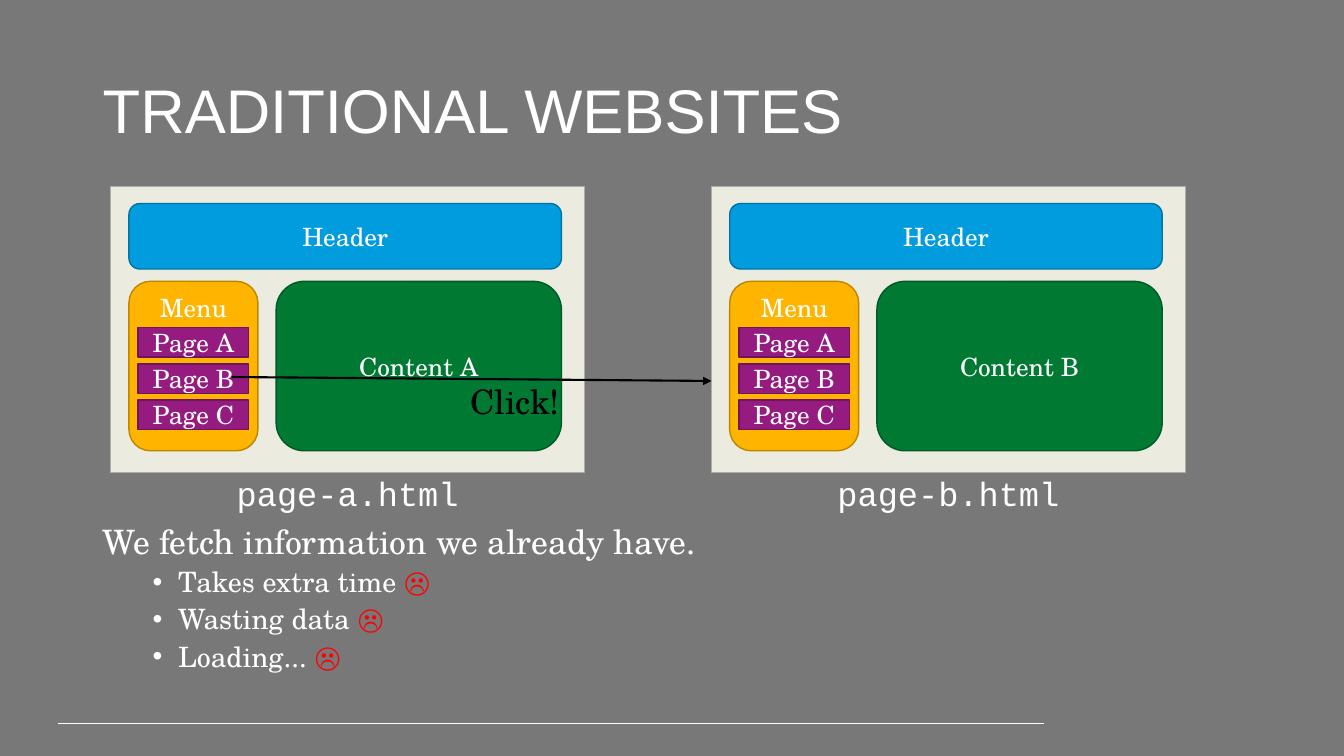
from lxml import etree
from pptx import Presentation
from pptx import util as u
from pptx.dml.color import RGBColor
from pptx.enum import shapes, text
from pptx.oxml import ns

TITLE = "TRADITIONAL WEBSITES"
PAGES = [("page-a.html", "Content A"), ("page-b.html", "Content B")]
LINKS = ["Page A", "Page B", "Page C"]
CLICK = "Click!"
CLAIM = "We fetch information we already have."
DRAWBACKS = ["Takes extra time ", "Wasting data ", "Loading... "]
FROWN = "☹"

COLORS = {
    "background": "787878", "white": "FFFFFF", "black": "000000", "red": "FF0000",
    "page": "EBEBDF", "page_edge": "AEAEA5",
    "header": "009CDE", "header_edge": "0073A4",
    "menu": "FFB500", "menu_edge": "BD8600",
    "content": "007A33", "content_edge": "005A26",
    "link": "961B81", "link_edge": "6F145F",
}
SERIF, SANS, MONO = "TeX Gyre Schola", "Arial", "Courier New"
RECT = shapes.MSO_SHAPE.RECTANGLE
ROUND = shapes.MSO_SHAPE.ROUNDED_RECTANGLE
MIDDLE, TOP = text.MSO_ANCHOR.MIDDLE, text.MSO_ANCHOR.TOP
CENTER, LEFT = text.PP_ALIGN.CENTER, text.PP_ALIGN.LEFT

PAGE_LEFT, PAGE_TOP, PAGE_STEP = 2.79, 4.7, 15.14
PAGE_WIDTH, PAGE_HEIGHT = 11.94, 7.21
LINK_TOP, LINK_STEP = 3.56, 0.91
TEXT_LEFT, TEXT_WIDTH = 2.34, 29.21

deck = Presentation()
deck.slide_width, deck.slide_height = u.Cm(33.87), u.Cm(19.05)
slide = deck.slides.add_slide(deck.slide_layouts[6])
slide.background.fill.solid()


def rgb(name):
    return RGBColor.from_string(COLORS[name])


slide.background.fill.fore_color.rgb = rgb("background")


def add_run(paragraph, words, size, font=SERIF, color="white"):
    run = paragraph.add_run()
    run.text = words
    run.font.size = u.Pt(size)
    run.font.name = font
    run.font.color.rgb = rgb(color)


def add_block(kind, look, left, top, width, height, words="", anchor=MIDDLE):
    block = slide.shapes.add_shape(kind, u.Cm(left), u.Cm(top), u.Cm(width), u.Cm(height))
    block.shadow.inherit = False
    block.fill.solid()
    block.fill.fore_color.rgb = rgb(look)
    block.line.color.rgb = rgb(look + "_edge")
    block.line.width = u.Pt(1)
    if words:
        block.text_frame.vertical_anchor = anchor
        paragraph = block.text_frame.paragraphs[0]
        paragraph.alignment = CENTER
        add_run(paragraph, words, 18)


def add_label(left, top, width, height, words, size, font=SERIF, color="white",
              align=CENTER, anchor=TOP):
    frame = slide.shapes.add_textbox(
        u.Cm(left), u.Cm(top), u.Cm(width), u.Cm(height)).text_frame
    frame.word_wrap = True
    frame.vertical_anchor = anchor
    paragraph = frame.paragraphs[0]
    paragraph.alignment = align
    paragraph.line_spacing = 0.9
    add_run(paragraph, words, size, font, color)
    return frame


def add_line(x1, y1, x2, y2, color, width):
    line = slide.shapes.add_connector(
        shapes.MSO_CONNECTOR.STRAIGHT, u.Cm(x1), u.Cm(y1), u.Cm(x2), u.Cm(y2))
    line.line.color.rgb = rgb(color)
    line.line.width = u.Pt(width)
    etree.SubElement(line._element.spPr, ns.qn("a:effectLst"))
    return line


def add_page(left, top, file_name, content):
    add_label(left, top + PAGE_HEIGHT, PAGE_WIDTH, 1.18, file_name, 24, MONO)
    add_block(RECT, "page", left, top, PAGE_WIDTH, PAGE_HEIGHT)
    add_block(ROUND, "header", left + 0.46, top + 0.43, 10.9, 1.65, "Header")
    add_block(ROUND, "menu", left + 0.46, top + 2.39, 3.25, 4.27, "Menu", TOP)
    add_block(ROUND, "content", left + 4.17, top + 2.39, 7.19, 4.27, content)
    for row, link in enumerate(LINKS):
        add_block(RECT, "link", left + 0.69, top + LINK_TOP + row * LINK_STEP, 2.79, 0.74, link)


add_line(1.45, 18.23, 26.31, 18.23, "white", 0.75)
add_label(TEXT_LEFT, 1.02, TEXT_WIDTH, 3.68, TITLE, 44, SANS, align=LEFT, anchor=MIDDLE)

for column, (file_name, content) in enumerate(PAGES):
    add_page(PAGE_LEFT + column * PAGE_STEP, PAGE_TOP, file_name, content)

click_arrow = add_line(5.84, 9.5, PAGE_LEFT + PAGE_STEP, 9.6, "black", 1.5)
etree.SubElement(click_arrow.line._get_or_add_ln(), ns.qn("a:tailEnd"), type="triangle")
add_label(11.2, 9.6, 3.56, 1.19, CLICK, 24, color="black")

summary = add_label(TEXT_LEFT, 13.11, TEXT_WIDTH, 4.01, CLAIM, 24, align=LEFT)
for drawback in DRAWBACKS:
    item = summary.add_paragraph()
    properties = item._p.get_or_add_pPr()
    properties.set("marL", str(u.Cm(1.9)))
    properties.set("indent", str(-u.Cm(0.64)))
    etree.SubElement(properties, ns.qn("a:buFont"), typeface=SANS)
    etree.SubElement(properties, ns.qn("a:buChar"), char="•")
    item.level = 1
    item.line_spacing = 0.9
    item.space_before = u.Pt(5)
    add_run(item, drawback, 20)
    add_run(item, FROWN, 20, color="red")

deck.save("out.pptx")
